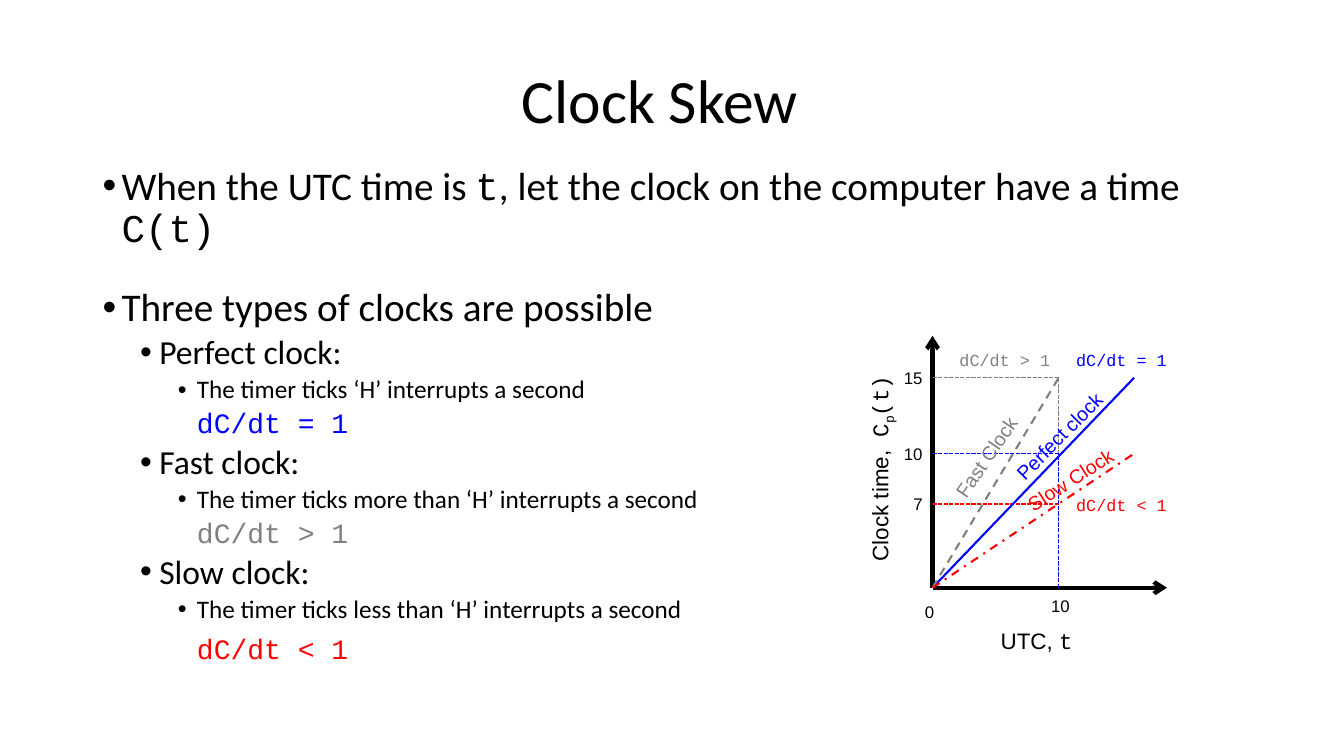
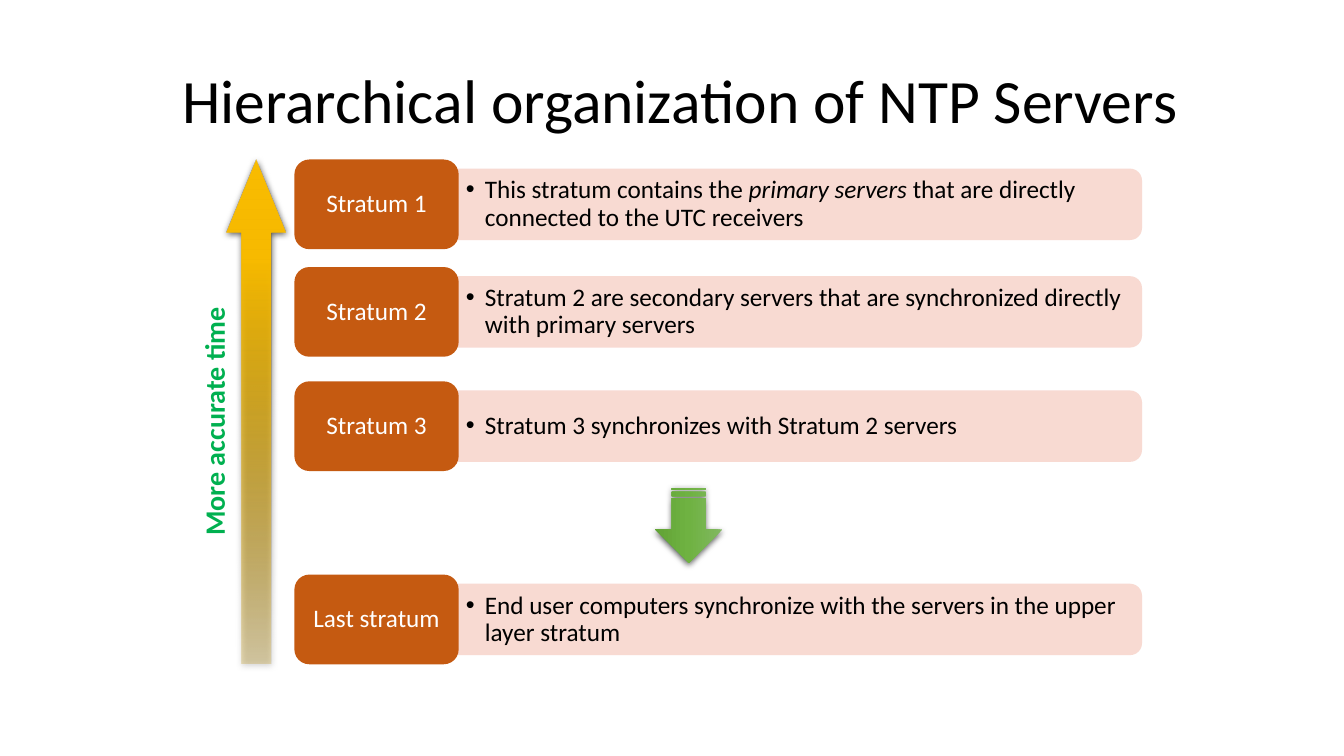
from lxml.etree import SubElement
from pptx import Presentation
from pptx.dml.color import RGBColor
from pptx.enum.dml import MSO_LINE
from pptx.enum.shapes import MSO_CONNECTOR, MSO_SHAPE
from pptx.enum.text import MSO_ANCHOR, MSO_AUTO_SIZE, PP_ALIGN
from pptx.oxml.ns import qn
from pptx.util import Cm, Pt

BODY, LABEL, MONO = "Calibri", "Arial", "Courier New"
BLACK, WHITE, GRAY, BLUE, RED = "000000", "FFFFFF", "808080", "0000FF", "FF0000"
GREEN, ORANGE, PINK = "00B050", "C55A11", "F8D7CE"
INDENT, LEVEL_STEP = 0.48, 0.95
LEVEL_SIZES = (28, 24, 18)


def rgb(colour):
    return RGBColor.from_string(colour)


def seen_frame(left, top, width, height, rotation):
    """Turn the frame seen on the slide into the one before a quarter turn."""
    if rotation % 180 == 90:
        left, top = left + (width - height) / 2, top + (height - width) / 2
        width, height = height, width
    return [Cm(length) for length in (left, top, width, height)]


class Deck:
    def __init__(self):
        self.presentation = Presentation()
        self.presentation.slide_width = Cm(33.87)
        self.presentation.slide_height = Cm(19.05)
        self.slide = None

    # Slides and placeholders
    def add_slide(self, layout, title, left, width):
        layouts = self.presentation.slide_layouts
        self.slide = self.presentation.slides.add_slide(layouts.get_by_name(layout))
        shape = self.slide.shapes.title
        self.place(shape, left, 0.76, width, 3.68)
        shape.text_frame.vertical_anchor = MSO_ANCHOR.MIDDLE
        paragraph = shape.text_frame.paragraphs[0]
        self.fill_paragraph(paragraph, title, 44, align=PP_ALIGN.CENTER)
        paragraph.line_spacing = 0.9

    def place(self, shape, left, top, width, height):
        shape.left, shape.top = Cm(left), Cm(top)
        shape.width, shape.height = Cm(width), Cm(height)
        shape.text_frame.auto_size = MSO_AUTO_SIZE.NONE

    def body(self, items, left, top, width, height):
        shape = self.slide.placeholders[1]
        self.place(shape, left, top, width, height)
        frame = shape.text_frame
        for number, (level, content, space, style) in enumerate(items):
            paragraph = frame.add_paragraph() if number else frame.paragraphs[0]
            paragraph.level = level
            self.indent(paragraph, level, bullet=not style)
            self.fill_paragraph(paragraph, content,
                                **(style or {"size": LEVEL_SIZES[level]}))
            paragraph.line_spacing = 0.9
            paragraph.space_before = Pt(space)

    # Text
    def indent(self, paragraph, level=0, bullet=True):
        properties = paragraph._p.get_or_add_pPr()
        properties.set("marL", str(Cm(INDENT + LEVEL_STEP * level)))
        properties.set("indent", str(-Cm(INDENT) if bullet else 0))
        if bullet:
            SubElement(properties, qn("a:buFont")).set("typeface", "Arial")
            SubElement(properties, qn("a:buChar")).set("char", "•")
        else:
            SubElement(properties, qn("a:buNone"))

    def fill_paragraph(self, paragraph, content, size, colour=BLACK, font=BODY,
                       bold=False, align=PP_ALIGN.LEFT):
        """content is a string or a list of (text, differing font settings)."""
        paragraph.alignment = align
        paragraph.font.size, paragraph.font.name = Pt(size), font
        paragraph.font.bold = bold
        paragraph.font.color.rgb = rgb(colour)
        pieces = [(content, {})] if isinstance(content, str) else content
        for text, settings in pieces:
            run = paragraph.add_run()
            run.text = text
            for name, value in settings.items():
                if name == "baseline":
                    run._r.get_or_add_rPr().set(name, value)
                else:
                    setattr(run.font, name, value)

    def text(self, content, left, top, width, height, size, rotation=0,
             wrap=True, bullet=False, **style):
        shape = self.slide.shapes.add_textbox(
            *seen_frame(left, top, width, height, rotation))
        shape.rotation = rotation
        shape.text_frame.word_wrap = wrap
        paragraph = shape.text_frame.paragraphs[0]
        if bullet:
            self.indent(paragraph)
        self.fill_paragraph(paragraph, content, size, **style)
        return shape

    def fit(self, shape):
        """Centre text upright in a shape with narrow margins."""
        frame = shape.text_frame
        frame.word_wrap = True
        frame.vertical_anchor = MSO_ANCHOR.MIDDLE
        frame.margin_left = frame.margin_right = Cm(0.18)
        frame.margin_top = frame.margin_bottom = Cm(0.1)
        frame.paragraphs[0].line_spacing = 0.9

    # Lines and shapes
    def line(self, start, end, colour, width, dash=None, arrow=False):
        connector = self.slide.shapes.add_connector(
            MSO_CONNECTOR.STRAIGHT, *[Cm(value) for value in (*start, *end)])
        connector.line.color.rgb = rgb(colour)
        connector.line.width = Pt(width)
        if dash:
            connector.line.dash_style = dash
        properties = connector._element.spPr
        if arrow:
            SubElement(properties.find(qn("a:ln")), qn("a:tailEnd")).set("type", "arrow")
        SubElement(properties, qn("a:effectLst"))

    def shape(self, kind, left, top, width, height, fill=None, rotation=0):
        shape = self.slide.shapes.add_shape(
            kind, *seen_frame(left, top, width, height, rotation))
        shape.rotation = rotation
        shape.shadow.inherit = False
        shape.line.fill.background()
        if fill:
            shape.fill.solid()
            shape.fill.fore_color.rgb = rgb(fill)
        return shape

    def opacity(self, colour_element, percent):
        SubElement(colour_element, qn("a:alpha")).set("val", str(percent * 1000))

    def gradient_arrow(self, kind, frame, rotation, stops):
        shape = self.shape(kind, *frame, rotation=rotation)
        shape.fill.gradient()
        shape.fill.gradient_angle = 270
        properties = shape._element.spPr
        stop_list = properties.find(".//" + qn("a:gsLst"))
        stop_list.clear()
        for position, colour, percent in stops:
            stop = SubElement(stop_list, qn("a:gs"), pos=str(position * 1000))
            self.opacity(SubElement(stop, qn("a:srgbClr"), val=colour), percent)
        shadow = SubElement(properties.find(qn("a:effectLst")), qn("a:outerShdw"),
                            blurRad=str(Pt(4.5)), dist=str(Pt(1.5)),
                            dir="5400000", rotWithShape="0")
        self.opacity(SubElement(shadow, qn("a:srgbClr"), val=BLACK), 63)
        return shape

    def stratum(self, name, description, middle):
        bar = self.shape(MSO_SHAPE.ROUND_2_SAME_RECTANGLE,
                         11.53, middle - 0.9, 17.25, 1.8, PINK, 90)
        self.opacity(bar._element.spPr.find(".//" + qn("a:srgbClr")), 90)
        self.fit(self.text(description, 11.56, middle - 0.82, 17.15, 1.64, 18,
                           bullet=True))
        label = self.shape(MSO_SHAPE.ROUNDED_RECTANGLE,
                           7.42, middle - 1.13, 4.14, 2.26, ORANGE)
        self.fill_paragraph(label.text_frame.paragraphs[0], name, 18, WHITE,
                            align=PP_ALIGN.CENTER)
        self.fit(label)


def clock_skew(deck):
    deck.add_slide("Title and Content", "Clock Skew", 4.88, 23.5)
    mono = {"name": MONO}

    # Kinds of clock
    items = [
        (0, [("When the UTC time is ", {}), ("t", mono),
             (", let the clock on the computer have a time ", {}),
             ("C(t)", mono)], 7.5, None),
        (0, "Three types of clocks are possible", 26.5, None),
    ]
    for name, pace, formula, colour, space in (
            ("Perfect", "", "dC/dt = 1", BLUE, 3.8),
            ("Fast", "more than ", "dC/dt > 1", GRAY, 3.8),
            ("Slow", "less than ", "dC/dt < 1", RED, 8)):
        items += [
            (1, f"{name} clock:", 3.8, None),
            (2, f"The timer ticks {pace}‘H’ interrupts a second", 3.8, None),
            (2, formula, space, {"size": 20, "colour": colour, "font": MONO}),
        ]
    deck.body(items, 2.33, 4.06, 28.35, 12.57)

    # Axes
    x, y = origin = (23.5, 14.81)
    ten, far = x + 3.18, x + 5.08
    heights = {15: y - 5.29, 10: y - 3.38, 7: y - 2.11}
    for end in ((29.41, y), (x, 8.46)):
        deck.line(origin, end, BLACK, 3, arrow=True)

    # Guides and ticks
    for value, colour in ((15, GRAY), (7, RED), (10, BLUE)):
        level = heights[value]
        deck.line((x, level), (ten, level), colour, 1, MSO_LINE.SQUARE_DOT)
        deck.line((ten, y), (ten, level), colour, 1, MSO_LINE.SQUARE_DOT)
        deck.text(str(value), 22.43, level - 0.38, 1.07, 0.76, 12, font=LABEL,
                  align=PP_ALIGN.RIGHT)
    deck.text("10", 26.24, 14.88, 1.07, 0.76, 12, font=LABEL)
    deck.text("0", 23.06, 15.04, 0.84, 0.76, 12, font=LABEL)

    # Clock lines with their names and formulas
    for name, formula, colour, end, dash, name_at, angle, formula_at in (
            ("Perfect clock", "dC/dt = 1", BLUE, (far, heights[15]), None,
             (24.99, 10.46), 314.7, (26.87, 8.69)),
            ("Fast Clock", "dC/dt > 1", GRAY, (ten, heights[15]), MSO_LINE.DASH,
             (23.27, 10.77), 304.4, (23.93, 8.69)),
            ("Slow Clock", "dC/dt < 1", RED, (far, heights[10]), MSO_LINE.DASH_DOT,
             (25.45, 11.48), 327.2, (26.87, 12.34))):
        deck.line(origin, end, colour, 1.5, dash)
        deck.text(name, *name_at, 3.61, 0.86, 14, angle, colour=colour, font=LABEL)
        deck.text(formula, *formula_at, 2.84, 0.76, 12, wrap=False,
                  colour=colour, font=MONO)

    # Axis titles
    deck.text([("UTC, ", {}), ("t", mono)], 24.97, 15.67, 2.54, 0.94, 16, font=LABEL)
    deck.text([("Clock time,", {}), (" C", mono),
               ("p", {"name": MONO, "baseline": "-25000"}), ("(t)", mono)],
              21.7, 9.11, 0.94, 5.28, 16, 270, font=LABEL)


def server_hierarchy(deck):
    deck.add_slide("Title Only", "Hierarchical organization of NTP Servers",
                   3.81, 26.67)

    # Strata
    for name, description, middle in (
            ("Stratum 1", [("This stratum contains the ", {}),
                           ("primary servers", {"italic": True}),
                           (" that are directly connected to the UTC receivers", {})],
             5.15),
            ("Stratum 2", "Stratum 2 are secondary servers that are synchronized "
                          "directly with primary servers", 7.86),
            ("Stratum 3", "Stratum 3 synchronizes with Stratum 2 servers", 10.74),
            ("Last stratum", "End user computers synchronize with the servers in "
                             "the upper layer stratum", 15.61)):
        deck.stratum(name, description, middle)

    # Arrows
    accuracy = deck.gradient_arrow(
        MSO_SHAPE.DOWN_ARROW, (5.72, 4.01, 1.48, 12.7), 180,
        ((0, "BE8F00", 25), (80, "F7BA00", 100), (100, "F8BB00", 100)))
    accuracy.adjustments[0], accuracy.adjustments[1] = 0.5, 1.25
    deck.text("More accurate time", 4.84, 6.97, 1.12, 6.78, 20, 270,
              colour=GREEN, bold=True)
    deck.gradient_arrow(
        MSO_SHAPE.STRIPED_RIGHT_ARROW, (16.51, 12.29, 1.7, 1.9), 90,
        ((0, "81B861", 100), (50, "6FB242", 100), (100, "62A336", 100)))


def main():
    deck = Deck()
    clock_skew(deck)
    server_hierarchy(deck)
    deck.presentation.save("out.pptx")


if __name__ == "__main__":
    main()
